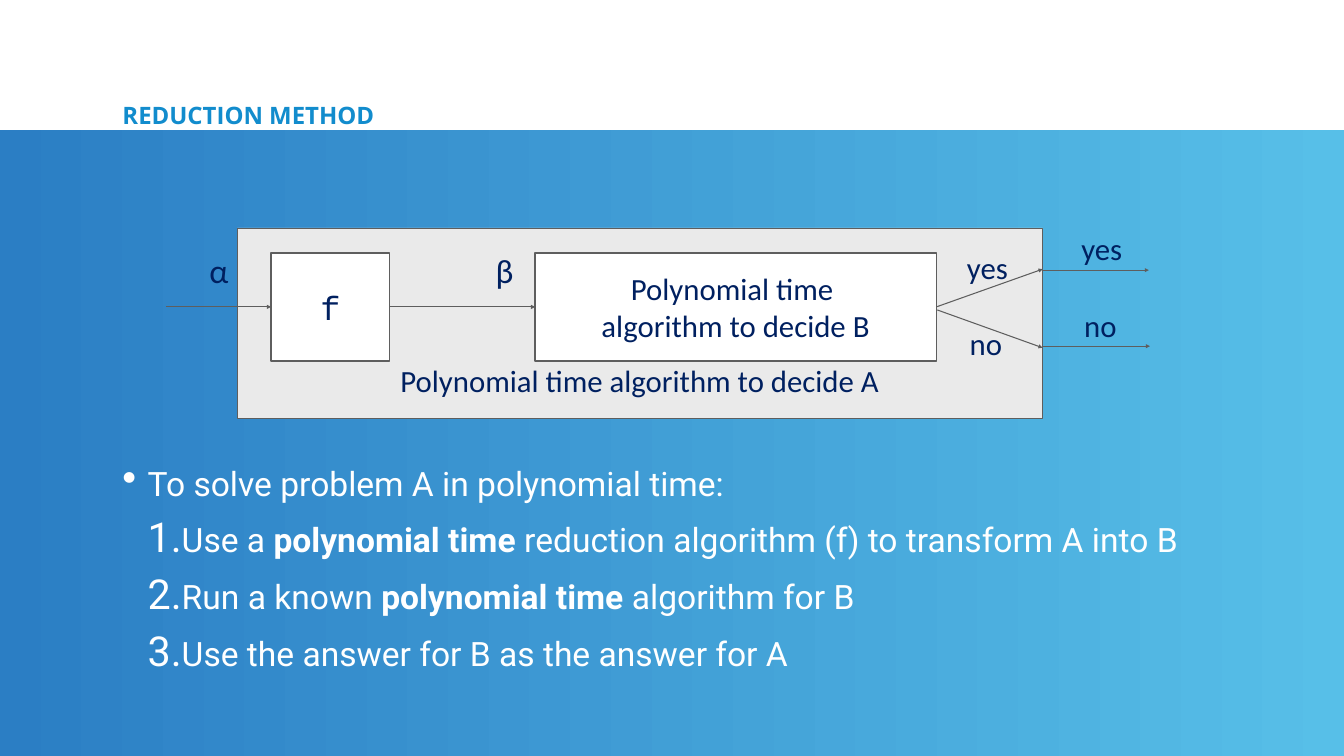
"""Build the slide on the reduction method, measured at 100 px to the inch."""
import dataclasses

import lxml.etree
import pptx
import pptx.dml.color
import pptx.enum.shapes
import pptx.enum.text
import pptx.oxml.ns
import pptx.util

PX = 9144
ALIGN = pptx.enum.text.PP_ALIGN
ANCHOR = pptx.enum.text.MSO_ANCHOR
RECT = pptx.enum.shapes.MSO_SHAPE.RECTANGLE
STRAIGHT = pptx.enum.shapes.MSO_CONNECTOR.STRAIGHT


@dataclasses.dataclass
class Theme:
    white: str = "FFFFFF"
    panel: str = "EAEAEA"
    edge: str = "5E5E5E"
    navy: str = "002060"
    blue: str = "128CCD"
    fade: tuple = ("2B7EC4", "57BFE8")
    head: str = "Open Sans"
    body: str = "Roboto"
    label: str = "Calibri"
    code: str = "Courier New"
    title: float = 34.2
    large: float = 48
    small: float = 44


def color(value):
    return pptx.dml.color.RGBColor.from_string(value)


def attach(parent, tag, **attrs):
    return lxml.etree.SubElement(parent, pptx.oxml.ns.qn(tag), **attrs)


def write(frame, lines, size, font, tint, align=ALIGN.CENTER, anchor=ANCHOR.TOP,
          wrap=False, pad=(10, 5, 10, 5), bold=False, bullets=None, gap=0, space=None):
    """Fill a frame; a line is a string or a list of (text, bold) runs."""
    frame.auto_size = pptx.enum.text.MSO_AUTO_SIZE.NONE
    frame.word_wrap = wrap
    frame.vertical_anchor = anchor
    (frame.margin_left, frame.margin_top,
     frame.margin_right, frame.margin_bottom) = [side * PX for side in pad]
    for index, line in enumerate(lines):
        para = frame.add_paragraph() if index else frame.paragraphs[0]
        if bullets:
            mark(para, **bullets[index])
        para.alignment = align
        if index and gap:
            para.space_before = pptx.util.Pt(gap)
        if space:
            para.line_spacing = space[index]
        for text, strong in [(line, bold)] if isinstance(line, str) else line:
            run = para.add_run()
            run.text = text
            run.font.name = font
            run.font.size = pptx.util.Pt(size)
            run.font.bold = strong
            run.font.color.rgb = color(tint)


def mark(para, level, left, tag, **attrs):
    """Give a paragraph a hanging bullet or number."""
    para.level = level
    props = para._p.get_or_add_pPr()
    props.set("marL", str(left * PX))
    props.set("indent", str(-50 * PX))
    attach(props, "a:buSzPct", val="123000")
    attach(props, tag, **attrs)


class Deck:
    """Hold the theme and the current slide."""

    def __init__(self, theme):
        self.theme = theme
        self.file = pptx.Presentation()
        self.file.slide_width = 2667 * PX
        self.file.slide_height = 1500 * PX
        self.slide = self.file.slides.add_slide(self.file.slide_layouts[5])
        self.shapes = self.slide.shapes

    def title(self, text, x, y, w, h):
        shape = self.shapes.title
        shape.left, shape.top, shape.width, shape.height = x * PX, y * PX, w * PX, h * PX
        write(shape.text_frame, [text], self.theme.title, self.theme.head, self.theme.blue,
              align=ALIGN.LEFT, anchor=ANCHOR.MIDDLE, wrap=True, pad=(6, 6, 6, 6),
              bold=True, space=[0.8])

    def rect(self, x, y, w, h):
        shape = self.shapes.add_shape(RECT, x * PX, y * PX, w * PX, h * PX)
        shape.shadow.inherit = False
        return shape

    def band(self, x, y, w, h):
        shape = self.rect(x, y, w, h)
        shape.line.fill.background()
        shape.fill.gradient()
        shape.fill.gradient_angle = 0
        for stop, tint, place in zip(shape.fill.gradient_stops, self.theme.fade, (0, 1)):
            stop.color.rgb = color(tint)
            stop.position = place
        self.shapes.title._element.addprevious(shape._element)

    def box(self, x, y, w, h, lines, fill, line=2, size=None, font=None, **style):
        shape = self.rect(x, y, w, h)
        shape.fill.solid()
        shape.fill.fore_color.rgb = color(fill)
        shape.line.color.rgb = color(self.theme.edge)
        shape.line.width = pptx.util.Pt(line)
        style.setdefault("anchor", ANCHOR.MIDDLE)
        write(shape.text_frame, lines, size or self.theme.small,
              font or self.theme.label, self.theme.navy, **style)
        return shape

    def text(self, x, y, w, h, lines, size, font, tint, **style):
        shape = self.shapes.add_textbox(x * PX, y * PX, w * PX, h * PX)
        write(shape.text_frame, lines, size, font, tint, **style)

    def label(self, x, y, w, h, text, size):
        self.text(x, y, w, h, [text], size, self.theme.label, self.theme.navy)

    def arrow(self, x1, y1, x2, y2, start=None, end=None):
        line = self.shapes.add_connector(STRAIGHT, x1 * PX, y1 * PX, x2 * PX, y2 * PX)
        if start:
            line.begin_connect(start, 3)
        if end:
            line.end_connect(end, 1)
        line.line.color.rgb = color(self.theme.edge)
        line.line.width = pptx.util.Pt(1.5)
        attach(line.line._get_or_add_ln(), "a:tailEnd", type="triangle")
        attach(line._element.spPr, "a:effectLst")


def main():
    theme = Theme()
    deck = Deck(theme)
    deck.band(0, 258, 2667, 1242)
    deck.title("REDUCTION METHOD", 237, 205, 1609, 56)

    number = dict(level=1, left=100, tag="a:buAutoNum", type="arabicPeriod")
    steps = [
        "To solve problem A in polynomial time:",
        [("Use a ", False), ("polynomial time", True),
         (" reduction algorithm (f) to transform A into B", False)],
        [("Run a known ", False), ("polynomial time", True), (" algorithm for B", False)],
        "Use the answer for B as the answer for A",
    ]
    deck.text(237, 912, 2194, 471, steps, theme.large, theme.body, theme.white,
              align=ALIGN.LEFT, wrap=True, pad=(6, 6, 6, 6), gap=6,
              space=[1.0, 1.3, 1.3, 1.3],
              bullets=[dict(level=0, left=50, tag="a:buChar", char="•")] + [number] * 3)

    deck.box(471, 452, 1598, 378, ["Polynomial time algorithm to decide A"], theme.panel,
             line=0.75, anchor=ANCHOR.BOTTOM, pad=(10, 5, 10, 40))
    func = deck.box(538, 502, 235, 214, ["f"], theme.white,
                    size=theme.large, font=theme.code)
    solver = deck.box(1062, 502, 796, 214, ["Polynomial time ", "algorithm to decide B"],
                      theme.white)

    deck.arrow(329, 609, 538, 609, end=func)
    deck.arrow(773, 609, 1062, 609, start=func, end=solver)
    deck.arrow(1858, 609, 2069, 534, start=solver)
    deck.arrow(1860, 615, 2069, 690)
    for x, y in ((2067, 536), (2069, 687)):
        deck.arrow(x, y, x + 213, y)

    deck.label(403, 491, 63, 91, "α", theme.large)
    deck.label(973, 491, 57, 91, "β", theme.large)
    for x, y in ((1908, 488), (2135, 451)):
        deck.label(x, y, 103, 84, "yes", theme.small)
        deck.label(x + 6, y + 152, 85, 84, "no", theme.small)

    deck.file.save("out.pptx")


if __name__ == "__main__":
    main()
